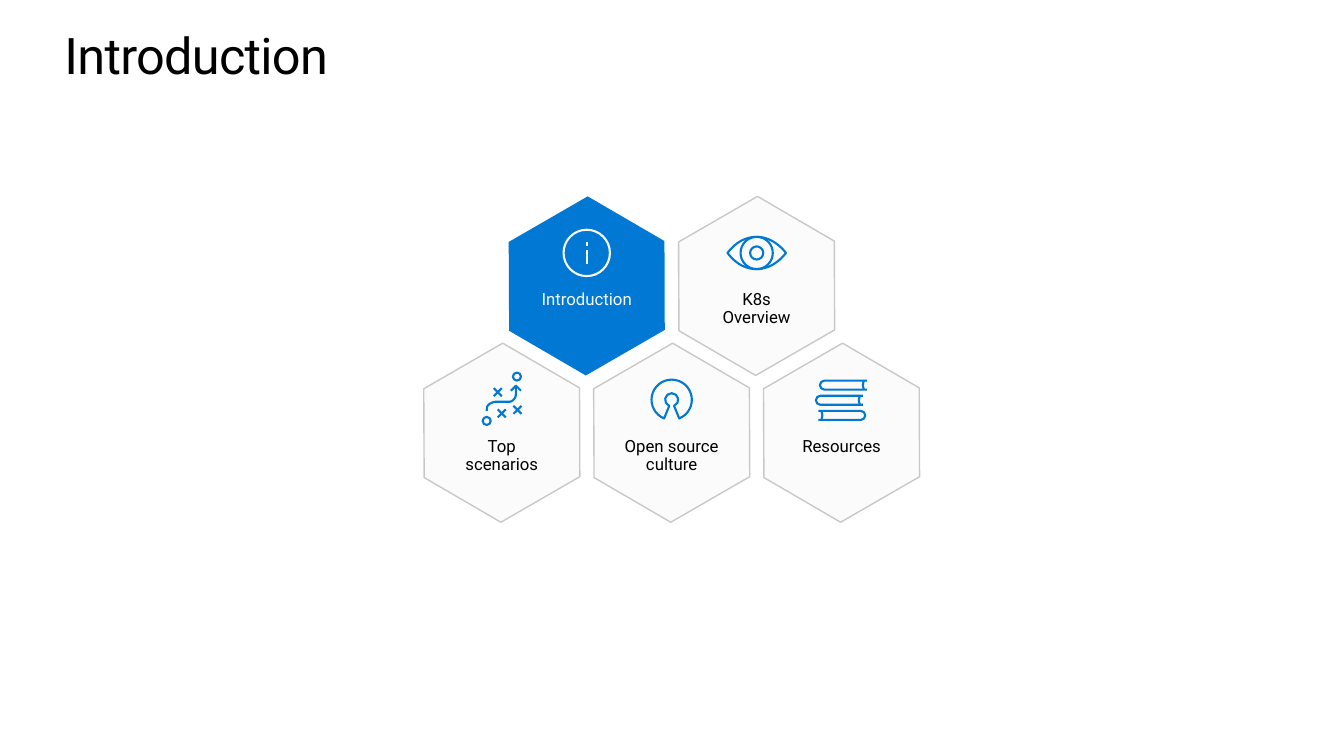
from dataclasses import dataclass
from math import ceil, cos, radians, sin, tan

from lxml import etree
from pptx import Presentation, util as u
from pptx.dml.color import RGBColor
from pptx.enum import shapes, text
from pptx.oxml.ns import qn

Point = tuple[float, float]
Segment = tuple[Point, ...]


@dataclass(frozen=True)
class Theme:
    font: str = "Roboto"
    ink: str = "000000"
    pale: str = "F9FAFB"
    accent: str = "0078D4"
    neutral: str = "505050"
    fill_opacity: int = 2
    outline_opacity: int = 30
    outline: float = 1
    icon_stroke: float = 1.5
    title_size: int = 36
    label_size: int = 12


@dataclass(frozen=True)
class Stroke:
    start: Point
    segments: list[Segment]
    closed: bool = False


@dataclass(frozen=True)
class Topic:
    label: str
    column: int
    row: int
    label_width: float
    lines: int
    icon: list[Stroke]
    active: bool = False


THEME = Theme()
WIDTH, HEIGHT = u.Inches(13.33), u.Inches(7.5)
MIDDLE, COLUMN_STEP = 49.98, 6.32
FIRST_ROW, ROW_STEP = 37.82, 19.42
HEXAGON_WIDTH, HEXAGON_HEIGHT = 13.35, 20.4
ICON_RISE = 4.36
LABEL_PADDING, LABEL_LINE = 1.33, 2.4
ICON_UNIT = WIDTH / 1333


def across(percent: float) -> int:
    return round(WIDTH * percent / 100)


def down(percent: float) -> int:
    return round(HEIGHT * percent / 100)


def line(*points: Point) -> Stroke:
    return Stroke(points[0], [(point,) for point in points[1:]])


def arc(x: float, y: float, radius: float, start: float, end: float) -> list[Segment]:
    pieces = ceil(abs(end - start) / 90)
    step = radians(end - start) / pieces
    pull = 4 / 3 * tan(step / 4)
    curves = []
    for piece in range(pieces):
        a = radians(start) + piece * step
        b = a + step
        unit = ((cos(a) - pull * sin(a), sin(a) + pull * cos(a)),
                (cos(b) + pull * sin(b), sin(b) - pull * cos(b)), (cos(b), sin(b)))
        curves.append(tuple((x + radius * ux, y + radius * uy) for ux, uy in unit))
    return curves


def circle(x: float, y: float, radius: float) -> Stroke:
    return Stroke((x + radius, y), arc(x, y, radius, 0, 360), True)


def cross(x: float, y: float) -> list[Stroke]:
    return [line((x - 4, y - 4 * side), (x + 4, y + 4 * side)) for side in (1, -1)]


def book(x: float, y: float, side: int) -> list[Stroke]:
    def place(point: Point) -> Point:
        return x + side * point[0], y + point[1]

    cover = [((-21, 5),), *arc(-21, 0.5, 4.5, 90, 270), ((21, -4),)]
    page_edge = [((16.7, -1), (16.7, 2), (18, 5))]
    return [Stroke(place(start), [tuple(map(place, segment)) for segment in segments])
            for start, segments in (((21, 5), cover), ((18, -4), page_edge))]


def information() -> list[Stroke]:
    return [circle(0, 0, 23), line((0, 11), (0, -3)), line((0, -7), (0, -11))]


def eye() -> list[Stroke]:
    lids = [
        ((-25, -5), (-16, -16), (0, -16)),
        ((18, -16), (29, 0), (29, 0)),
        ((29, 0), (18, 16), (0, 16)),
        ((-16, 16), (-25, 5), (-29, 0)),
    ]
    return [Stroke((-29, 0), lids, True), circle(0, 0, 16), circle(0, 0, 6.5)]


def route() -> list[Stroke]:
    trail = [
        ((14, -6),),
        ((14, 1), (8, 2), (8, 2)),
        ((-6, 2),),
        ((-6, 2), (-10, 2), (-12, 4)),
        ((-15, 6), (-15, 8), (-15, 11)),
    ]
    return [
        Stroke((14, -14), trail), line((19, -9), (14, -14), (9, -9)),
        circle(-15, 21, 4), circle(15, -23, 4),
        *cross(-4, -7.5), *cross(15.5, 10), *cross(0, 13.5),
    ]


def open_ring() -> list[Stroke]:
    outer, inner = arc(0, 0, 20, 112, 428), arc(0, 0, 6.5, 428, 112)
    return [Stroke(outer[-1][-1], [((2.4, 6),), *inner, ((-7.5, 18.5),), *outer], True)]


def books() -> list[Stroke]:
    return [*book(4, -15, 1), *book(0, 0, 1), *book(-2, 15, -1)]


TOPICS = [
    Topic("K8s\nOverview", 1, 0, 11.4, 2, eye()),
    Topic("Introduction", -1, 0, 9.3, 1, information(), True),
    Topic("Top\nscenarios", -2, 1, 9.3, 2, route()),
    Topic("Open source culture", 0, 1, 9.83, 2, open_ring()),
    Topic("Resources", 2, 1, 7.35, 1, books()),
]


def set_opacity(fill, percent: int) -> None:
    color = fill._xPr.find(qn("a:solidFill"))[0]
    etree.SubElement(color, qn("a:alpha")).set("val", str(percent * 1000))


def paint(fill, color: str) -> None:
    fill.solid()
    fill.fore_color.rgb = RGBColor.from_string(color)


def format_font(font, size: int, color: str) -> None:
    font.name, font.size = THEME.font, u.Pt(size)
    font.color.rgb = RGBColor.from_string(color)


def draw_hexagon(canvas, x: float, y: float, active: bool) -> None:
    hexagon = canvas.add_shape(
        shapes.MSO_SHAPE.HEXAGON, across(x - HEXAGON_WIDTH / 2), down(y - HEXAGON_HEIGHT / 2),
        across(HEXAGON_WIDTH), down(HEXAGON_HEIGHT))
    hexagon.rotation = 330
    hexagon.adjustments[0] = 0.286
    hexagon.shadow.inherit = False
    if active:
        paint(hexagon.fill, THEME.accent)
        hexagon.line.fill.background()
        return
    paint(hexagon.fill, THEME.neutral)
    set_opacity(hexagon.fill, THEME.fill_opacity)
    paint(hexagon.line.fill, THEME.neutral)
    set_opacity(hexagon.line.fill, THEME.outline_opacity)
    hexagon.line.width = u.Pt(THEME.outline)


def draw_label(canvas, topic: Topic, x: float, y: float) -> None:
    label = canvas.add_textbox(
        across(x - topic.label_width / 2), down(y), across(topic.label_width),
        down(LABEL_PADDING + LABEL_LINE * topic.lines))
    label.text_frame.word_wrap = True
    paragraph = label.text_frame.paragraphs[0]
    paragraph.text = topic.label
    paragraph.alignment = text.PP_ALIGN.CENTER
    paragraph.line_spacing = 0.9
    for run in paragraph.runs:
        format_font(run.font, THEME.label_size, THEME.pale if topic.active else THEME.ink)


def bend_curves(icon, strokes: list[Stroke]) -> None:
    steps = icon._element.iter(qn("a:lnTo"))
    queue = iter(list(steps))
    for segment in (segment for stroke in strokes for segment in stroke.segments):
        legs = [next(queue) for _ in segment]
        if len(legs) == 3:
            curve = etree.Element(qn("a:cubicBezTo"))
            legs[0].addprevious(curve)
            for leg in legs:
                curve.append(leg[0])
                leg.getparent().remove(leg)


def draw_icon(canvas, topic: Topic, x: float, y: float) -> None:
    def place(point: Point) -> Point:
        return across(x) + point[0] * ICON_UNIT, down(y - ICON_RISE) + point[1] * ICON_UNIT

    builder = canvas.build_freeform(*place(topic.icon[0].start))
    for index, stroke in enumerate(topic.icon):
        if index:
            builder.move_to(*place(stroke.start))
        points = [place(point) for segment in stroke.segments for point in segment]
        builder.add_line_segments(points, close=stroke.closed)
    icon = builder.convert_to_shape()
    bend_curves(icon, topic.icon)
    icon.shadow.inherit = False
    icon.fill.background()
    paint(icon.line.fill, THEME.pale if topic.active else THEME.accent)
    icon.line.width = u.Pt(THEME.icon_stroke)


def draw_topic(slide, topic: Topic) -> None:
    x = MIDDLE + topic.column * COLUMN_STEP
    y = FIRST_ROW + topic.row * ROW_STEP
    canvas = slide.shapes.add_group_shape().shapes
    draw_hexagon(canvas, x, y, topic.active)
    draw_label(canvas, topic, x, y)
    draw_icon(canvas, topic, x, y)


def draw_title(slide, wording: str) -> None:
    title = slide.shapes.add_textbox(across(4.8), down(3.2), across(90.4), down(8.13))
    frame = title.text_frame
    frame.word_wrap = True
    frame.margin_left = frame.margin_right = frame.margin_top = frame.margin_bottom = 0
    frame.text = wording
    run = frame.paragraphs[0].runs[0]
    format_font(run.font, THEME.title_size, THEME.ink)
    run._r.get_or_add_rPr().set("spc", "-50")


def main() -> None:
    deck = Presentation()
    deck.slide_width, deck.slide_height = WIDTH, HEIGHT
    slide = deck.slides.add_slide(deck.slide_layouts[6])
    draw_title(slide, "Introduction")
    for topic in TOPICS:
        draw_topic(slide, topic)
    deck.save("out.pptx")


if __name__ == "__main__":
    main()
